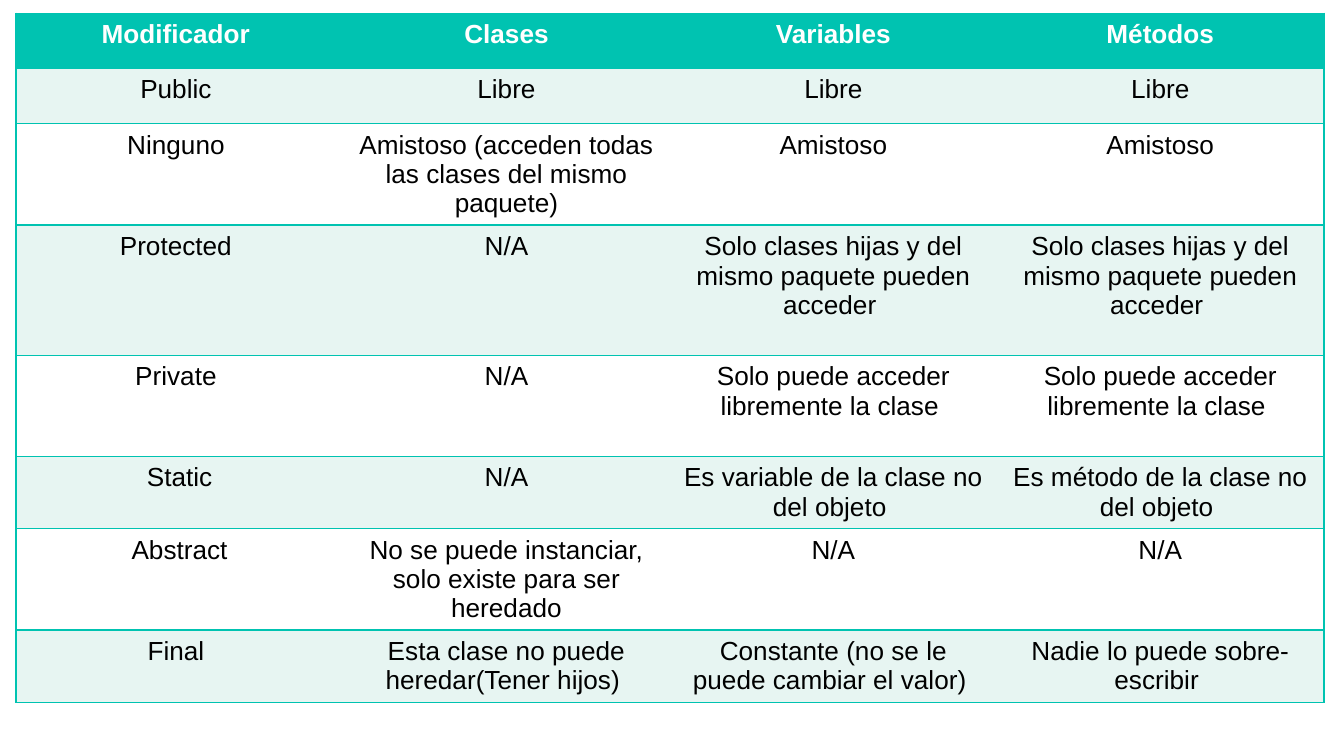
from lxml import etree
from pptx import Presentation, util as u
from pptx.dml.color import RGBColor
from pptx.enum import text
from pptx.oxml.ns import qn

WIDTH = 10
HEIGHT = WIDTH * 9 / 16
TEAL, MINT, WHITE, BLACK = "00C3B1", "E7F5F2", "FFFFFF", "000000"
ROW_HEIGHTS = [0.41, 0.41, 0.75, 0.97, 0.75, 0.53, 0.75, 0.53]
CHILDREN = "Solo clases hijas y del mismo paquete pueden acceder "
OWN_CLASS = "Solo puede acceder libremente la clase "
MODIFIERS = [
    ["Modificador ", "Clases", "Variables", "Métodos"],
    ["Public ", "Libre", "Libre", "Libre"],
    ["Ninguno ", "Amistoso (acceden todas las clases del mismo paquete)",
     "Amistoso", "Amistoso"],
    ["Protected ", "N/A", CHILDREN, CHILDREN],
    ["Private ", "N/A", OWN_CLASS, OWN_CLASS],
    ["Static", "N/A", "Es variable de la clase no del objeto ",
     "Es método de la clase no del objeto "],
    ["Abstract", "No se puede instanciar, solo existe para ser heredado",
     "N/A", "N/A"],
    ["Final ", "Esta clase no puede heredar(Tener hijos) ",
     "Constante (no se le puede cambiar el valor) ",
     "Nadie lo puede sobre-escribir "],
]


def rgb(color):
    return RGBColor.from_string(color)


def set_borders(cell, sides):
    """Draw the given sides (letters of LRTB) in teal and clear the others."""
    tc_pr = cell._tc.get_or_add_tcPr()
    for side in "LRTB":
        ln = etree.SubElement(tc_pr, qn(f"a:ln{side}"), w=str(u.Pt(1)))
        if side in sides:
            fill = etree.SubElement(ln, qn("a:solidFill"))
            etree.SubElement(fill, qn("a:srgbClr"), val=TEAL)
        else:
            etree.SubElement(ln, qn("a:noFill"))


def fill_cell(cell, words, fill, sides, font):
    set_borders(cell, sides)
    cell.fill.solid()
    cell.fill.fore_color.rgb = rgb(fill)
    p = cell.text_frame.paragraphs[0]
    p.alignment = text.PP_ALIGN.CENTER
    r = p.add_run()
    r.text = words
    for name, value in font.items():
        setattr(r.font, name, value)
    r.font.color.rgb = rgb(WHITE if font["bold"] else BLACK)


def add_modifier_table(s, left, top, width, heights):
    n_rows, n_cols = len(MODIFIERS), len(MODIFIERS[0])
    box = [u.Inches(v) for v in (left, top, width, sum(heights))]
    table = s.shapes.add_table(n_rows, n_cols, *box).table
    for row, height in zip(table.rows, heights):
        row.height = u.Inches(height)
    for i, words in enumerate(MODIFIERS):
        fill = TEAL if i == 0 else MINT if i % 2 else WHITE
        font = {"name": "Arial", "size": u.Pt(14), "bold": i == 0}
        for j, word in enumerate(words):
            sides = "TB" + "L" * (j == 0) + "R" * (j == n_cols - 1)
            fill_cell(table.cell(i, j), word, fill, sides, font)


def main():
    prs = Presentation()
    prs.slide_width, prs.slide_height = u.Inches(WIDTH), u.Inches(HEIGHT)
    s = prs.slides.add_slide(prs.slide_layouts[6])
    add_modifier_table(s, 0.12, 0.1, 9.73, ROW_HEIGHTS)
    prs.save("out.pptx")


if __name__ == "__main__":
    main()
